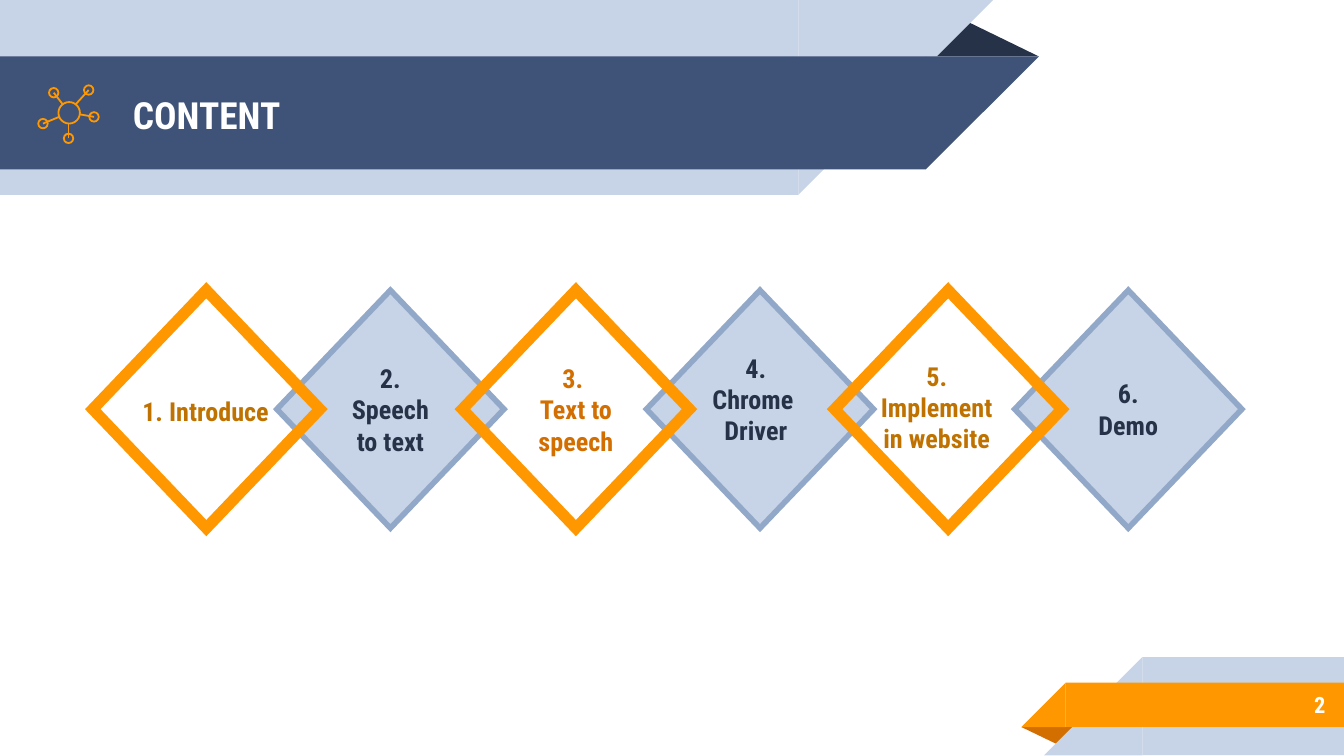
from lxml import etree
from pptx import Presentation
from pptx.dml.color import RGBColor
from pptx.enum.shapes import MSO_CONNECTOR, MSO_SHAPE
from pptx.enum.text import MSO_ANCHOR, PP_ALIGN
from pptx.oxml.ns import qn
from pptx.util import Inches, Pt

RECT, WEDGE = MSO_SHAPE.RECTANGLE, MSO_SHAPE.RIGHT_TRIANGLE
FOLD, OVAL = MSO_SHAPE.ISOSCELES_TRIANGLE, MSO_SHAPE.OVAL
DIAMOND, STRAIGHT = MSO_SHAPE.DIAMOND, MSO_CONNECTOR.STRAIGHT
LEFT, MID, RIGHT = PP_ALIGN.LEFT, PP_ALIGN.CENTER, PP_ALIGN.RIGHT
TOP, CENTER = MSO_ANCHOR.TOP, MSO_ANCHOR.MIDDLE

FONT = "Roboto Condensed"
PALE, STEEL, NAVY, DARK = "C7D3E6", "92A8C8", "3F5378", "263248"
ORANGE, RUST, AMBER, WHITE = "FF9800", "D26F00", "BF7200", "FFFFFF"


def color(code):
    """Turn a hex string into a colour."""
    return RGBColor.from_string(code)


def shape(slide, kind, box, fill=None, line=None, width=1):
    """Add a flat preset shape with an optional fill and mitred outline."""
    item = slide.shapes.add_shape(kind, *map(Inches, box))
    item.shadow.inherit = False
    if fill:
        item.fill.solid()
        item.fill.fore_color.rgb = color(fill)
    else:
        item.fill.background()
    if line:
        item.line.color.rgb = color(line)
        item.line.width = Pt(width)
        edge = item._element.spPr.find(qn("a:ln"))
        etree.SubElement(edge, qn("a:miter")).set("lim", "800000")
    else:
        item.line.fill.background()
    return item


def write(item, text, size=14, ink=DARK, align=MID, anchor=CENTER, pad=0.1,
          side=0.1):
    """Fill a shape with bold text, one paragraph for each line."""
    frame = item.text_frame
    frame.word_wrap = True
    frame.vertical_anchor = anchor
    frame.margin_left = frame.margin_right = Inches(side)
    frame.margin_top = frame.margin_bottom = Inches(pad)
    frame.text = text
    for para in frame.paragraphs:
        para.alignment = align
        font = para.runs[0].font
        font.name, font.size, font.bold = FONT, Pt(size), True
        font.color.rgb = color(ink)


def label(slide, box, text, **style):
    """Add a text box."""
    write(slide.shapes.add_textbox(*map(Inches, box)), text, **style)


def ribbon(slide, box, slant, fill, head):
    """Add a band with a slanted end: on the right for the head, else left."""
    left, top, width, height = box
    shape(slide, RECT, box, fill)
    start = left + width if head else left - slant
    wedge = shape(slide, WEDGE, (start, top, slant, height), fill)
    wedge._element.spPr.xfrm.set("flipV" if head else "flipH", "1")


def fold(slide, box, fill, turn=0):
    """Add the shaded fold behind a ribbon."""
    item = shape(slide, FOLD, box, fill)
    item.adjustments[0] = 0.324
    item.rotation = turn


def frame(slide):
    """Draw the header and footer ribbons with their text."""
    fold(slide, (6.88, 0.14, 0.85, 0.28), DARK)
    ribbon(slide, (0, 0, 5.94, 1.45), 1.45, PALE, True)
    ribbon(slide, (0, 0.42, 6.89, 0.84), 0.84, NAVY, True)
    fold(slide, (7.6, 5.41, 0.43, 0.14), RUST, 180)
    ribbon(slide, (8.5, 4.89, 1.5, 0.73), 0.73, PALE, False)
    ribbon(slide, (7.93, 5.08, 2.07, 0.33), 0.33, ORANGE, False)
    label(slide, (0.89, 0.43, 5.75, 0.84), "CONTENT", size=20, ink=WHITE,
          align=LEFT)
    label(slide, (8.33, 5.07, 1.63, 0.35), "2", size=12, ink=WHITE,
          align=RIGHT)


def ring(slide, x, y, size):
    """Add an open circle around a centre."""
    box = (x - size / 2, y - size / 2, size, size)
    shape(slide, OVAL, box, line=ORANGE, width=0.96)


def spoke(slide, *ends):
    """Add a thin line between two points."""
    item = slide.shapes.add_connector(STRAIGHT, *map(Inches, ends))
    item.line.color.rgb = color(ORANGE)
    item.line.width = Pt(0.96)
    etree.SubElement(item._element.spPr, qn("a:effectLst"))


def icon(slide):
    """Draw a hub with five linked nodes."""
    ring(slide, 0.515, 0.84, 0.16)
    links = [(0.66, 0.67, 0.56, 0.78), (0.4, 0.69, 0.47, 0.78),
             (0.32, 0.92, 0.44, 0.87), (0.51, 1.03, 0.51, 0.92),
             (0.7, 0.87, 0.59, 0.85)]
    for x, y, hub_x, hub_y in links:
        ring(slide, x, y, 0.07)
        spoke(slide, x, y, hub_x, hub_y)


def chain(slide):
    """Draw the diamonds, pale ones behind, and their labels."""
    pale = [(2.06, "2. Speech to text"), (4.81, ""), (7.55, "6. Demo")]
    bright = [(0.69, ""), (3.44, "3. \nText to speech"), (6.21, "")]
    for row, fill, line, width, ink in ((pale, PALE, STEEL, 3, DARK),
                                        (bright, None, ORANGE, 6, RUST)):
        for left, text in row:
            box = (left, 2.16, 1.69, 1.77)
            item = shape(slide, DIAMOND, box, fill, line, width)
            if text:
                write(item, text, ink=ink, side=0.12)
    for box, text, ink in (
            ((0.77, 2.89, 1.52, 0.34), "1. Introduce", AMBER),
            ((5.16, 2.57, 0.93, 0.81), "4.\nChrome \nDriver", DARK),
            ((6.21, 2.63, 1.52, 0.81), "5.\n Implement \nin website", AMBER)):
        label(slide, box, text, ink=ink, anchor=TOP, pad=0.05)


def main():
    """Build and save the slide."""
    deck = Presentation()
    deck.slide_width = Inches(10)
    deck.slide_height = Inches(10) * 9 // 16
    slide = deck.slides.add_slide(deck.slide_layouts[6])
    frame(slide)
    icon(slide)
    chain(slide)
    deck.save("out.pptx")


if __name__ == "__main__":
    main()
